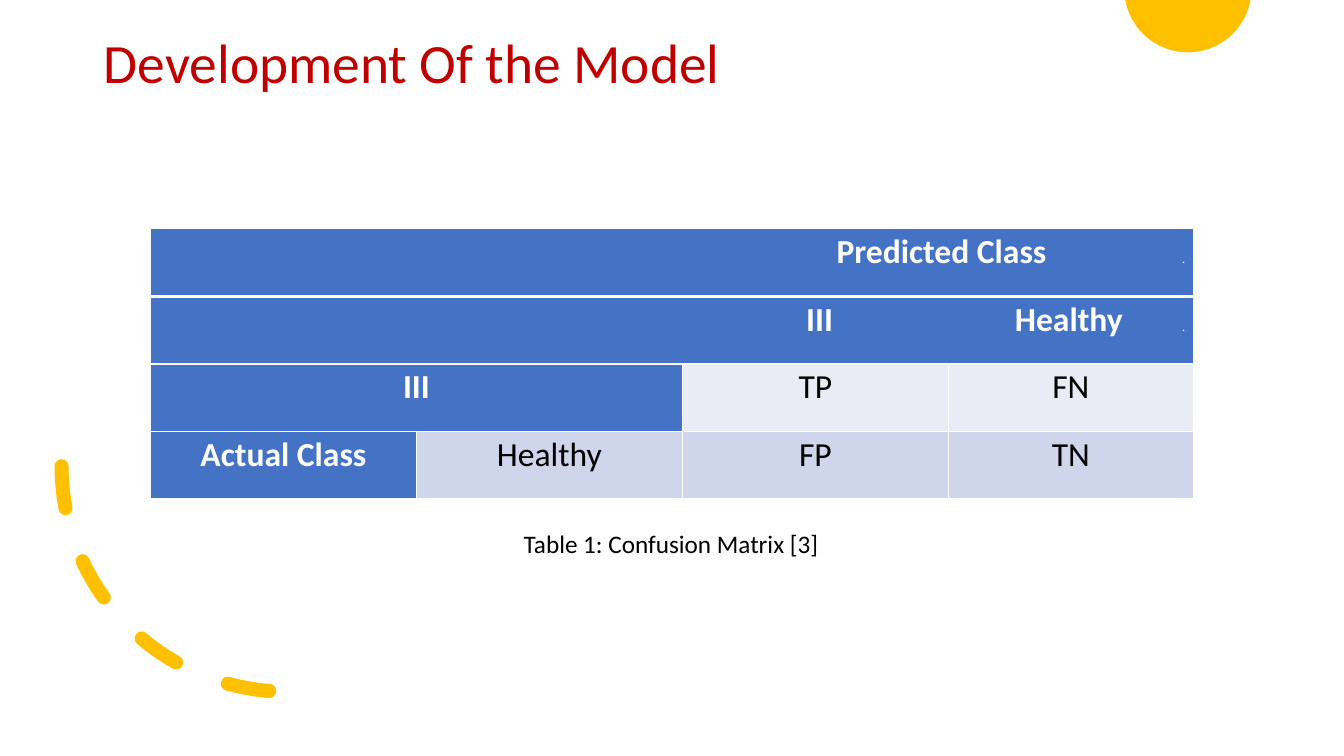
import math
from dataclasses import dataclass

from lxml import etree
from pptx import Presentation
from pptx.dml.color import RGBColor
from pptx.enum import dml, shapes, text
from pptx.oxml import ns
from pptx.util import Pt

FONT = "Calibri"
WHITE, BLACK, GOLD, RED = "FFFFFF", "000000", "FFC000", "C00000"
BLUE, PALE, MID = "4472C4", "E9EBF5", "CFD5EA"


@dataclass
class MatrixCell:
    row: int
    column: int
    words: str
    fill: str
    span: int = 1
    tabs: tuple[float, ...] = ()  # centred tab stops, for the header rows

    @property
    def is_heading(self) -> bool:
        return self.fill == BLUE


COLUMNS = (190, 190, 190, 175)
ROW_HEIGHT = 48.25
DOT_STOP = 734
MATRIX = [
    MatrixCell(0, 0, "\tPredicted Class\t", BLUE, 4, (560,)),
    MatrixCell(1, 0, "\tIII\tHealthy\t", BLUE, 4, (473, 651)),
    MatrixCell(2, 0, "III", BLUE, 2),
    MatrixCell(2, 2, "TP", PALE),
    MatrixCell(2, 3, "FN", PALE),
    MatrixCell(3, 0, "Actual Class", BLUE),
    MatrixCell(3, 1, "Healthy", MID),
    MatrixCell(3, 2, "FP", MID),
    MatrixCell(3, 3, "TN", MID),
]


def paint(target, colour: str) -> None:
    """Give a fill one solid colour."""
    target.solid()
    target.fore_color.rgb = RGBColor.from_string(colour)


def style(font, size: float, colour: str, bold: bool = False) -> None:
    font.name, font.size, font.bold = FONT, Pt(size), bold
    paint(font.fill, colour)


def add_tabs(para, centres: tuple[float, ...]) -> None:
    properties = para._p.get_or_add_pPr()
    stops = etree.SubElement(properties, ns.qn("a:tabLst"))
    for place, align in [*((c, "ctr") for c in centres), (DOT_STOP, "r")]:
        etree.SubElement(stops, ns.qn("a:tab"), pos=str(Pt(place)), algn=align)


def add_borders(cell, row: int) -> None:
    """White cell borders, thick between the first two rows."""
    widths = {"lnL": 1, "lnR": 1, "lnT": 3 if row == 1 else 1, "lnB": 3 if row == 0 else 1}
    properties = cell._tc.get_or_add_tcPr()
    for index, (side, width) in enumerate(widths.items()):
        line = etree.Element(ns.qn(f"a:{side}"), w=str(Pt(width)))
        solid = etree.SubElement(line, ns.qn("a:solidFill"))
        etree.SubElement(solid, ns.qn("a:srgbClr"), val=WHITE)
        properties.insert(index, line)


def fill_cell(table, item: MatrixCell) -> None:
    last = item.column + item.span - 1
    for column in range(item.column, last + 1):
        part = table.cell(item.row, column)
        paint(part.fill, item.fill)
        add_borders(part, item.row)
    cell = table.cell(item.row, item.column)
    if item.span > 1:
        cell.merge(table.cell(item.row, last))
    cell.margin_left = cell.margin_right = Pt(5)
    cell.margin_top = cell.margin_bottom = Pt(0)

    para = cell.text_frame.paragraphs[0]
    para.alignment = text.PP_ALIGN.LEFT if item.tabs else text.PP_ALIGN.CENTER
    para.line_spacing, para.space_after = 1.07, Pt(8)
    if item.tabs:
        add_tabs(para, item.tabs)
    style(para.font, 24, WHITE if item.is_heading else BLACK, item.is_heading)
    para.add_run().text = item.words
    if item.tabs:
        dot = para.add_run()
        dot.text = "."
        dot.font.size = Pt(7)


def add_half_sun(page) -> None:
    """Circle cut off by the top edge of the page."""
    centre_x, centre_y, radius, steps = 848.5, -8, 45.4, 60
    start = math.asin(-centre_y / radius)
    angles = [start + (math.pi - 2 * start) * i / steps for i in range(steps + 1)]
    points = [
        (Pt(centre_x + radius * math.cos(a)), Pt(centre_y + radius * math.sin(a)))
        for a in angles
    ]
    builder = page.shapes.build_freeform(*points[0])
    builder.add_line_segments(points[1:], close=True)
    sun = builder.convert_to_shape()
    sun.shadow.inherit = False
    paint(sun.fill, GOLD)
    sun.line.fill.background()


def add_dashed_arc(page) -> None:
    arc = page.shapes.add_shape(shapes.MSO_SHAPE.ARC, Pt(44), Pt(172), Pt(322), Pt(322))
    arc.shadow.inherit = False
    arc.rotation = 90
    arc._element.spPr.find(ns.qn("a:xfrm")).set("flipV", "1")
    arc.fill.background()
    paint(arc.line.fill, GOLD)
    arc.line.width = Pt(10)
    arc.line.dash_style = dml.MSO_LINE.DASH
    arc.line._get_or_add_ln().set("cap", "rnd")


def add_caption(page) -> None:
    box = page.shapes.add_textbox(Pt(367), Pt(373.7), Pt(227), Pt(29))
    box.text_frame.word_wrap = True
    box.text_frame.auto_size = text.MSO_AUTO_SIZE.SHAPE_TO_FIT_TEXT
    para = box.text_frame.paragraphs[0]
    para.text = "Table 1: Confusion Matrix [3]"
    style(para.font, 18, BLACK)


def add_title(page) -> None:
    title = page.shapes.title
    title.left, title.top, title.width, title.height = Pt(67), Pt(20), Pt(828), Pt(54)
    title.text_frame.vertical_anchor = text.MSO_ANCHOR.MIDDLE
    title.text_frame.auto_size = text.MSO_AUTO_SIZE.NONE
    para = title.text_frame.paragraphs[0]
    para.text = "Development Of the Model"
    para.alignment = text.PP_ALIGN.LEFT
    para.line_spacing = 0.9
    style(para.font, 39.6, RED)


def add_matrix(page) -> None:
    rows = 4
    frame = page.shapes.add_table(
        rows, len(COLUMNS), Pt(107.5), Pt(163.5), Pt(sum(COLUMNS)), Pt(rows * ROW_HEIGHT)
    )
    table = frame.table
    table.horz_banding = False
    for column, width in zip(table.columns, COLUMNS):
        column.width = Pt(width)
    for row in table.rows:
        row.height = Pt(ROW_HEIGHT)
    for item in MATRIX:
        fill_cell(table, item)


def main() -> None:
    deck = Presentation()
    deck.slide_width, deck.slide_height = Pt(960), Pt(540)
    page = deck.slides.add_slide(deck.slide_layouts[5])
    paint(page.background.fill, WHITE)

    # Decoration
    add_half_sun(page)
    add_dashed_arc(page)

    # Content
    add_caption(page)
    add_title(page)
    add_matrix(page)

    deck.save("out.pptx")


if __name__ == "__main__":
    main()
